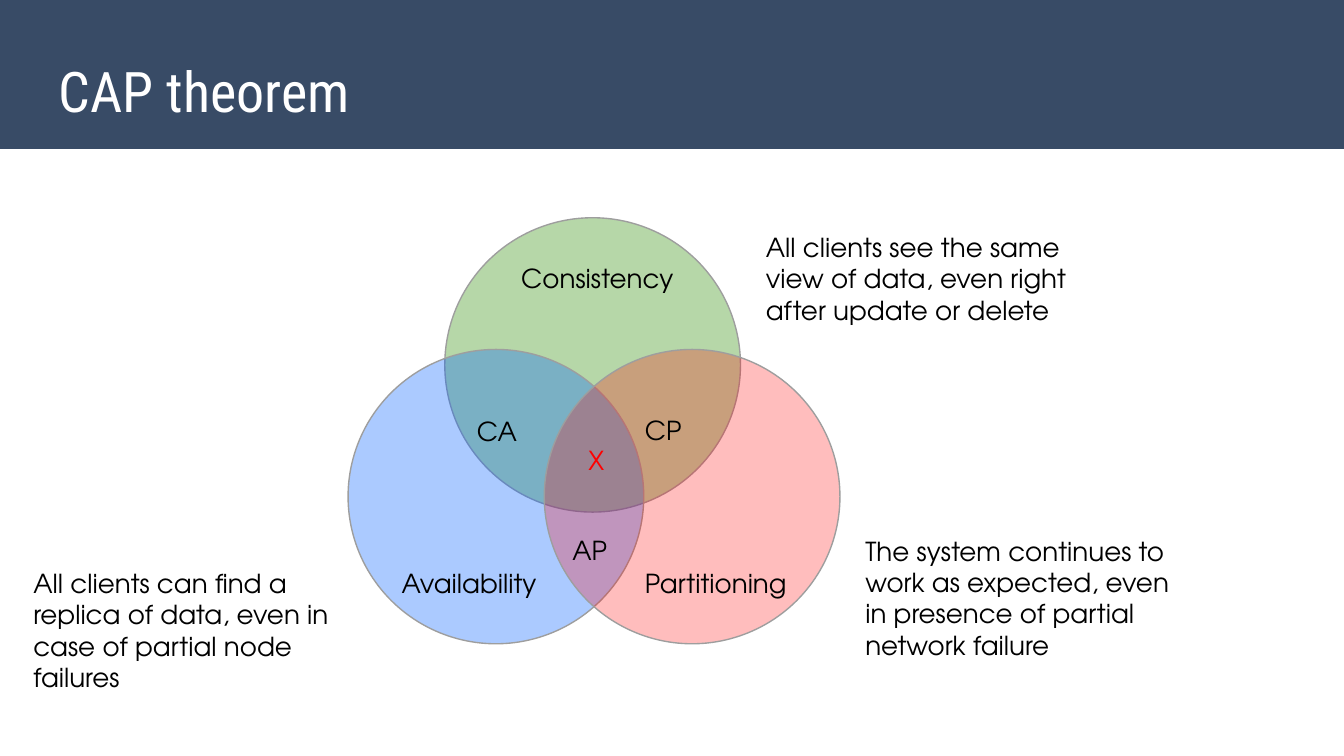
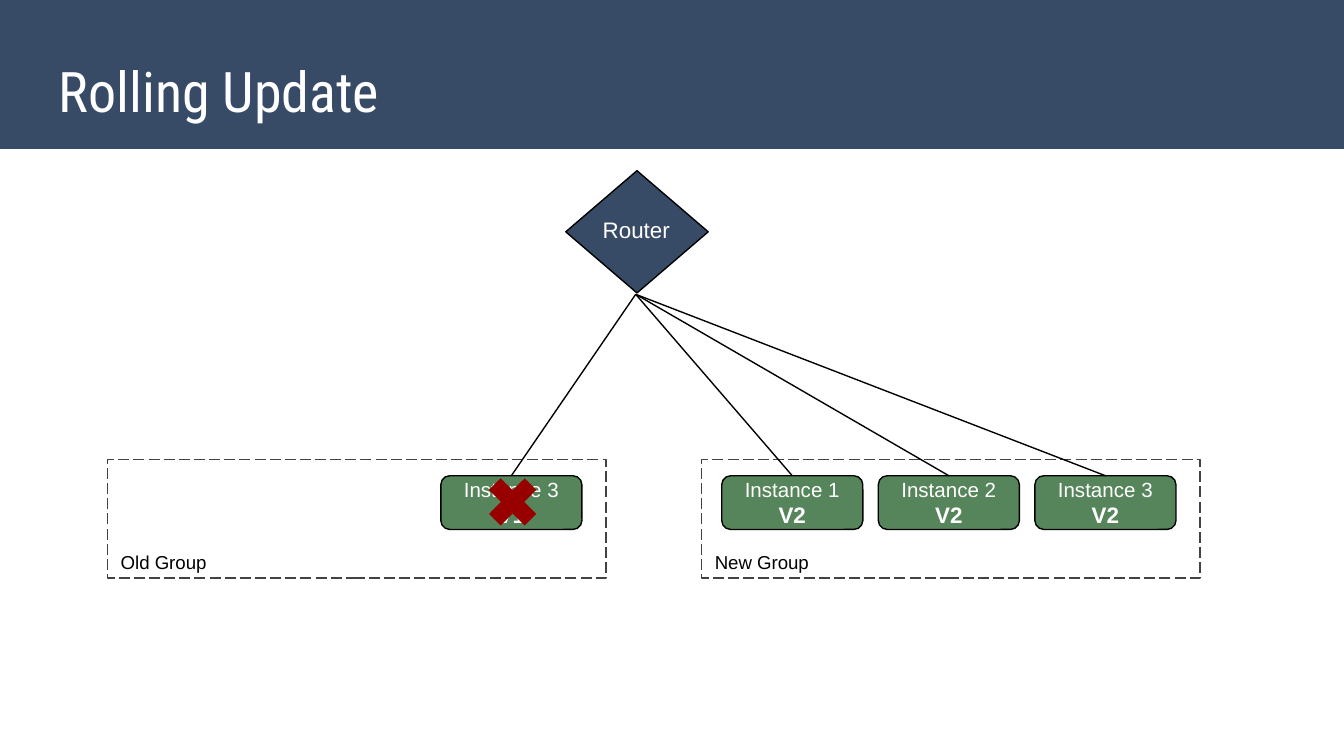
from lxml import etree
from pptx import Presentation
from pptx.dml.color import RGBColor
from pptx.enum import dml, shapes, text
from pptx.oxml.ns import qn
from pptx.util import Inches, Pt

HUES = {"navy": "384B66", "white": "FFFFFF", "black": "000000", "gray": "9E9E9E",
        "dark": "424242", "lime": "B6D7A8", "blue": "0061FF", "red": "FF0000",
        "green": "56855C", "wine": "980000"}
HEAD, BODY, SANS = "Roboto Condensed", "TeX Gyre Adventor", "Arial"
KIND = shapes.MSO_SHAPE
WIDE = 10
HIGH = WIDE * 9 / 16

# Venn content: left, top, fill, opacity in percent
RINGS = [(3.31, 1.62, "lime", 100), (2.59, 2.6, "blue", 33), (4.05, 2.6, "red", 26)]
# Left, top, width, words, colour
LABELS = [
    (3.78, 1.85, 1.43, "Consistency", "black"),
    (2.89, 4.12, 1.25, "Availability", "black"),
    (4.7, 4.12, 1.43, "Partitioning", "black"),
    (3.45, 2.99, 0.61, "CA", "black"),
    (4.7, 2.98, 0.61, "CP", "black"),
    (4.16, 3.88, 0.61, "AP", "black"),
    (4.28, 3.21, 0.61, "X", "red"),
]
NOTES = [
    (5.6, 1.62, "All clients see the same view of data, even right after update or delete"),
    (6.34, 3.88, "The system continues to work as expected, even in presence of partial "
                 "network failure"),
    (0.15, 4.12, "All clients can find a replica of data, even in case of partial node failures"),
]

# Update content: group name, left, version, {instance: left}
GROUPS = [
    ("Old Group", 0.8, "V1", {3: 3.28}),
    ("New Group", 5.22, "V2", {n: 5.37 + 2.33 / 2 * (n - 1) for n in (1, 2, 3)}),
]
NODE_W, NODE_H, NODE_Y = 1.05, 0.4, 3.54
HUB = (4.73, 2.19)


def tint(name):
    return RGBColor.from_string(HUES[name])


def write(frame, lines, font=SANS, size=14, hue="black", align="LEFT", anchor="TOP"):
    """Lines are strings, or (string, size, bold), joined by line breaks."""
    frame.word_wrap = True
    frame.auto_size = text.MSO_AUTO_SIZE.NONE
    frame.vertical_anchor = text.MSO_ANCHOR[anchor]
    frame.margin_left = frame.margin_right = Inches(0.1)
    frame.margin_top = frame.margin_bottom = Inches(0.1)
    para = frame.paragraphs[0]
    para.alignment = text.PP_ALIGN[align]
    for i, line in enumerate([lines] if isinstance(lines, str) else lines):
        words, points, bold = (line, size, False) if isinstance(line, str) else line
        if i:
            para.add_line_break()
        run = para.add_run()
        run.text = words
        run.font.name, run.font.size, run.font.bold = font, Pt(points), bold
        run.font.color.rgb = tint(hue)


def label(slide, box, words, **form):
    write(slide.shapes.add_textbox(*map(Inches, box)).text_frame, words, **form)


def draw(slide, kind, box, fill=None, line=None, alpha=100, adj=None):
    shape = slide.shapes.add_shape(kind, *map(Inches, box))
    shape.shadow.inherit = False
    if fill:
        shape.fill.solid()
        shape.fill.fore_color.rgb = tint(fill)
        if alpha < 100:
            clr = shape._element.spPr.find(qn("a:solidFill"))[0]
            etree.SubElement(clr, qn("a:alpha")).set("val", str(alpha * 1000))
    else:
        shape.fill.background()
    if line:
        shape.line.color.rgb = tint(line)
        shape.line.width = Pt(0.75)
    else:
        shape.line.fill.background()
    if adj is not None:
        shape.adjustments[0] = adj
    return shape


def link(slide, start, end):
    wire = slide.shapes.add_connector(shapes.MSO_CONNECTOR.STRAIGHT,
                                      *map(Inches, start + end))
    wire.line.color.rgb = tint("black")
    wire.line.width = Pt(0.75)
    etree.SubElement(wire._element.spPr, qn("a:effectLst"))


def page(deck, title, left=0):
    slide = deck.slides.add_slide(deck.slide_layouts[6])
    slide.background.fill.solid()
    slide.background.fill.fore_color.rgb = tint("navy")
    draw(slide, KIND.RECTANGLE, (left, 1.11, 10.02, HIGH - 1.11), "white")
    label(slide, (0.34, 0.32, 9.32, 0.63), title, font=HEAD, size=30, hue="white")
    return slide


def venn(deck):
    slide = page(deck, "CAP theorem", left=-0.01)
    for x, y, fill, alpha in RINGS:
        draw(slide, KIND.OVAL, (x, y, 2.2, 2.19), fill, "gray", alpha)
    for x, y, w, words, hue in LABELS:
        label(slide, (x, y, w, 0.3), words, font=BODY, hue=hue)
    for x, y, words in NOTES:
        label(slide, (x, y, 2.57, 0.99), words, font=BODY)


def update(deck):
    slide = page(deck, "Rolling Update")
    # Groups with their instances, each wired to the router
    for name, left, mark, nodes in GROUPS:
        frame = draw(slide, KIND.RECTANGLE, (left, 3.42, 3.71, 0.88), line="dark")
        frame.line.dash_style = dml.MSO_LINE.LONG_DASH
        for n, x in nodes.items():
            node = draw(slide, KIND.ROUNDED_RECTANGLE, (x, NODE_Y, NODE_W, NODE_H),
                        "green", "black", adj=1 / 6)
            write(node.text_frame, [(f"Instance {n}", 11, False), (mark, 12, True)],
                  hue="white", align="CENTER", anchor="MIDDLE")
            link(slide, HUB, (x + NODE_W / 2, NODE_Y))
        label(slide, (left, 4, 1.87, 0.24), name, size=10)
    # Cross over the retired instance
    draw(slide, KIND.MATH_MULTIPLY, (3.56, 3.48, 0.51, 0.51), "wine", adj=0.24)
    # Router
    draw(slide, KIND.FLOWCHART_DECISION, (4.21, 1.27, 1.06, 0.91), "navy", "black")
    label(slide, (4.23, 1.51, 1.01, 0.45), "Router", size=12, hue="white", align="CENTER")


def main():
    deck = Presentation()
    deck.slide_width, deck.slide_height = Inches(WIDE), Inches(HIGH)
    venn(deck)
    update(deck)
    deck.save("out.pptx")


if __name__ == "__main__":
    main()
